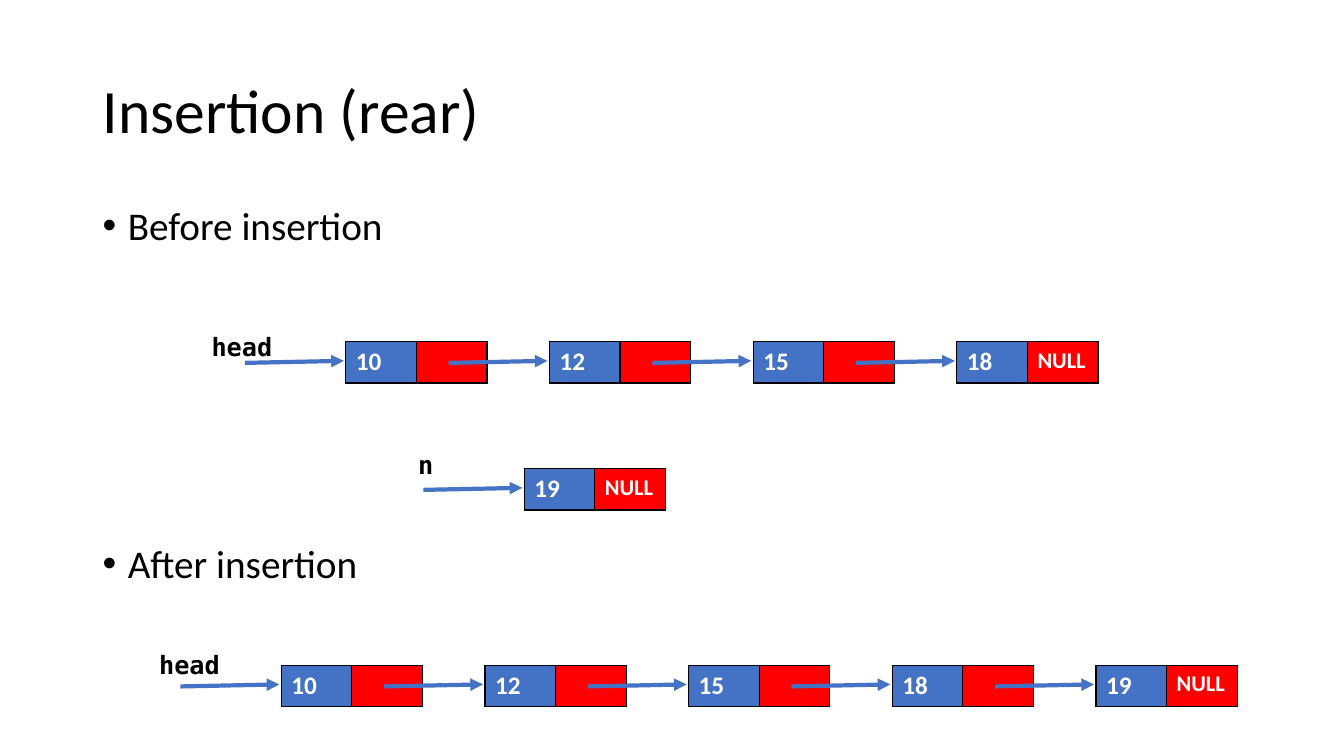
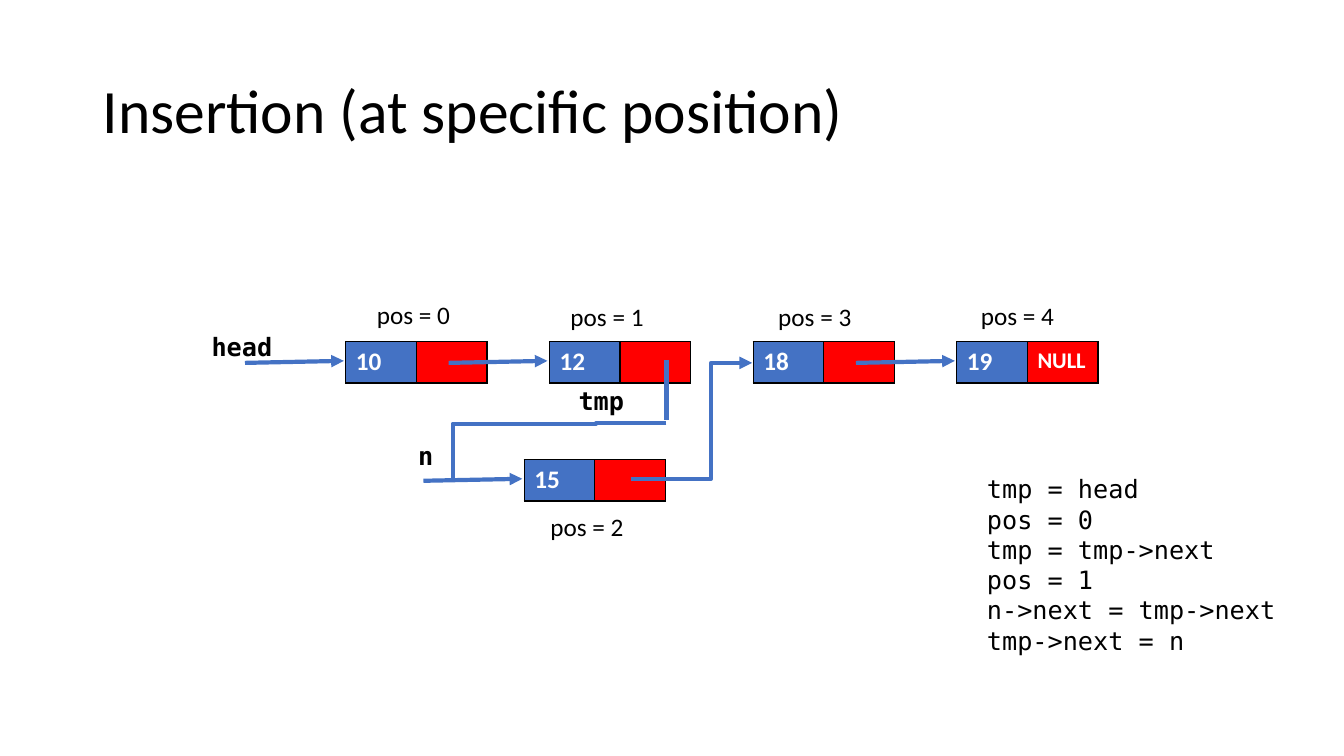
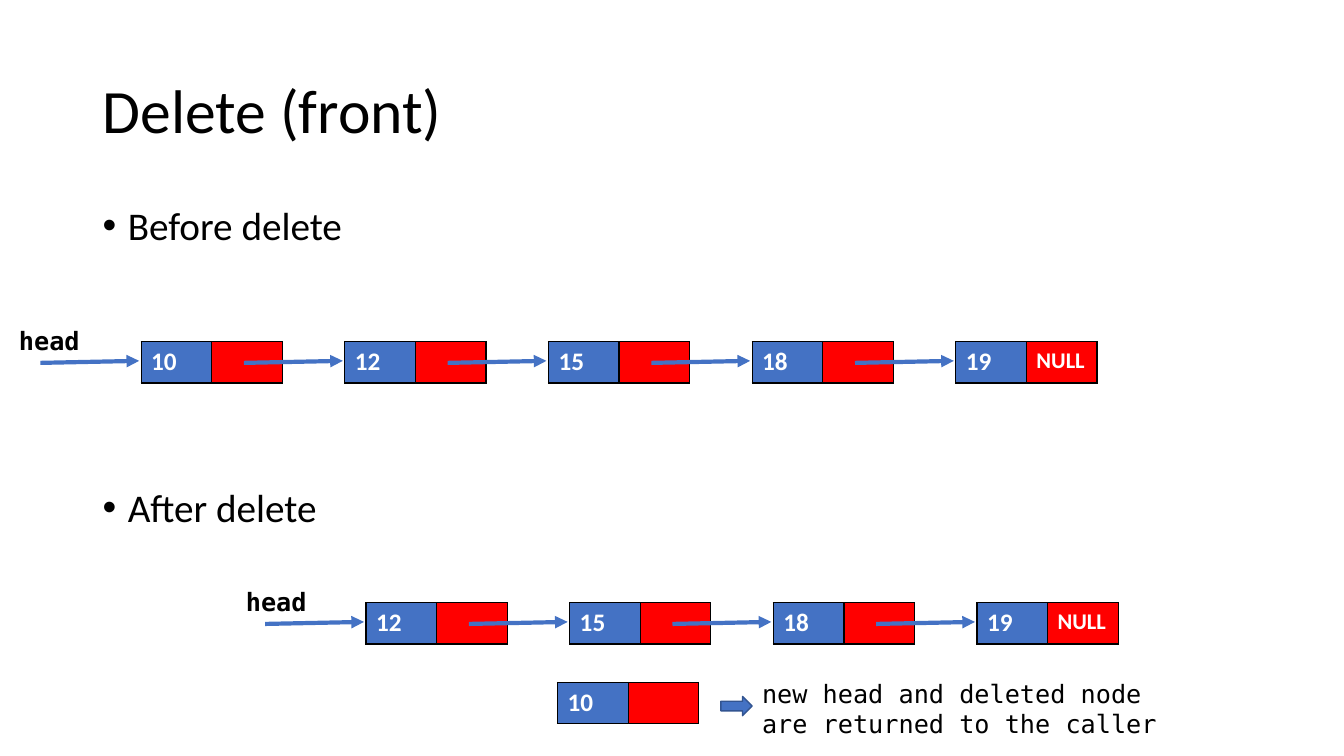
from lxml import etree
from pptx import Presentation
from pptx.dml.color import RGBColor
from pptx.enum.shapes import MSO_CONNECTOR as Link, MSO_SHAPE as Shape
from pptx.enum.text import MSO_ANCHOR as Anchor
from pptx.oxml import parse_xml
from pptx.oxml.ns import nsdecls, qn
from pptx.util import Inches, Pt

BLUE, RED, BLACK, WHITE, EDGE = "4472C4", "FF0000", "000000", "FFFFFF", "325491"
SANS, MONO = "Calibri", "DejaVu Sans Mono"
CELL_WIDTH, NODE_HEIGHT, PITCH = 0.7, 0.41, 2.02
BODY_LINE, BODY_GAP = 30.24, 10
TITLE = {"size": Pt(44), "name": SANS}
BODY = {"size": Pt(28), "name": SANS}
VALUE = {"size": Pt(18), "name": SANS, "bold": True}
NULL = {**VALUE, "size": Pt(16)}
CAPTION = {"size": Pt(18), "name": SANS}
CODE = {"size": Pt(18), "name": MONO}
POINTER = {**CODE, "bold": True}


def color(value):
    return RGBColor.from_string(value)


def write(para, text, style, ink=BLACK):
    span = para.add_run()
    span.text = text
    for name, value in style.items():
        setattr(span.font, name, value)
    span.font.color.rgb = color(ink)


def add_text(page, box, lines, style, **para_format):
    frame = page.shapes.add_textbox(*map(Inches, box)).text_frame
    frame.word_wrap = True
    for index, line in enumerate(lines):
        para = frame.paragraphs[0] if index == 0 else frame.add_paragraph()
        for name, value in para_format.items():
            setattr(para, name, value)
        write(para, line, style)
    return frame


def add_line(page, start, end, arrow=True, kind=Link.STRAIGHT):
    line = page.shapes.add_connector(kind, *map(Inches, (*start, *end)))
    line.line.color.rgb = color(BLUE)
    line.line.width = Pt(3)
    properties = line._element.spPr
    if arrow:
        etree.SubElement(properties.find(qn("a:ln")), qn("a:tailEnd"), type="triangle")
    etree.SubElement(properties, qn("a:effectLst"))
    return line


def add_elbow(page, start, end, preset, bends, arrow):
    elbow = add_line(page, start, end, arrow, Link.ELBOW)
    geometry = elbow._element.spPr.find(qn("a:prstGeom"))
    geometry.set("prst", preset)
    guides = geometry.find(qn("a:avLst"))
    for number, bend in enumerate(bends, 1):
        etree.SubElement(guides, qn("a:gd"), name=f"adj{number}", fmla=f"val {round(bend * 100000)}")


def add_node(page, left, top, value, last=False):
    box = map(Inches, (left, top, 2 * CELL_WIDTH, NODE_HEIGHT))
    table = page.shapes.add_table(1, 2, *box).table
    table.first_row = table.horz_banding = False
    parts = ((value, VALUE, BLUE), ("NULL" if last else "", NULL, RED))
    for cell, (text, style, fill) in zip(table.rows[0].cells, parts):
        properties = cell._tc.get_or_add_tcPr()
        for side in ("lnL", "lnR", "lnT", "lnB"):
            properties.append(parse_xml(
                f'<a:{side} {nsdecls("a")} w="12700"><a:solidFill>'
                f'<a:srgbClr val="{BLACK}"/></a:solidFill></a:{side}>'))
        cell.fill.solid()
        cell.fill.fore_color.rgb = color(fill)
        if text:
            write(cell.text_frame.paragraphs[0], text, style, WHITE)


def add_list(page, left, top, values, label, label_offset, ends=True, unlinked=()):
    """Chain of nodes; arrows lead into every node whose index is not unlinked."""
    places = [left + PITCH * index for index in range(len(values))]
    for place, value in zip(places, values):
        add_node(page, place, top, value, ends and value == values[-1])
    for index, place in enumerate(places):
        if index not in unlinked:
            add_line(page, (place - 1, top + 0.21), (place - 0.02, top + 0.19))
    shift, rise = label_offset
    add_text(page, (left + shift, top + rise, 1.1, 0.4), [label], POINTER)


def add_page(deck, title):
    page = deck.slides.add_slide(deck.slide_layouts[6])
    frame = add_text(page, (0.92, 0.4, 11.5, 1.45), [title], TITLE, line_spacing=0.9)
    frame.vertical_anchor = Anchor.MIDDLE
    return page


def add_headings(page, headings, lines_apart):
    frame = add_text(page, (0.92, 2, 11.5, 4.76), headings, BODY, line_spacing=0.9)
    for para in frame.paragraphs:
        properties = para._p.get_or_add_pPr()
        for name, value in (("marL", 0.25), ("indent", -0.25)):
            properties.set(name, str(Inches(value)))
        etree.SubElement(properties, qn("a:buFont"), typeface="Arial")
        etree.SubElement(properties, qn("a:buChar"), char="•")
    gap = lines_apart * (BODY_LINE + BODY_GAP) - BODY_LINE
    frame.paragraphs[1].space_before = Pt(round(gap))


def rear_insertion(deck):
    page = add_page(deck, "Insertion (rear)")
    add_headings(page, ["Before insertion", "After insertion"], 6)
    add_list(page, 3.43, 3.39, ["10", "12", "15", "18"], "head", (-1.43, -0.15))
    add_list(page, 5.2, 4.65, ["19"], "n", (-1.15, -0.24))
    add_list(page, 2.79, 6.6, ["10", "12", "15", "18", "19"], "head", (-1.31, -0.21))


def position_insertion(deck):
    page = add_page(deck, "Insertion (at specific position)")
    add_list(page, 3.43, 3.39, ["10", "12", "18", "19"], "head", (-1.43, -0.15), unlinked=(2,))
    add_list(page, 5.2, 4.56, ["15"], "n", (-1.15, -0.24), ends=False)
    # Position captions
    captions = ((3.64, 2.92, 0), (5.56, 2.94, 1), (5.36, 5.02, 2), (7.62, 2.94, 3), (9.63, 2.93, 4))
    for left, top, position in captions:
        add_text(page, (left, top, 0.95, 0.4), [f"pos = {position}"], CAPTION)
    add_text(page, (5.64, 3.77, 1.47, 0.4), ["tmp"], POINTER)
    # Rerouted links
    add_line(page, (6.61, 3.57), (6.61, 4.17), arrow=False)
    add_elbow(page, (6.61, 4.2), (4.49, 4.75), "bentConnector4", (0.33, 0.01), False)
    add_elbow(page, (6.26, 4.75), (7.46, 3.6), "bentConnector3", (0.66,), True)
    # Steps
    add_text(page, (9.69, 4.65, 3.51, 1.92), [
        "tmp = head", "pos = 0", "tmp = tmp->next", "pos = 1",
        "n->next = tmp->next", "tmp->next = n"], CODE)


def front_deletion(deck):
    page = add_page(deck, "Delete (front)")
    add_headings(page, ["Before delete", "After delete"], 5)
    add_list(page, 1.4, 3.39, ["10", "12", "15", "18", "19"], "head", (-1.31, -0.21))
    add_list(page, 3.63, 5.98, ["12", "15", "18", "19"], "head", (-1.29, -0.21))
    # Deleted node and its note
    add_node(page, 5.53, 6.77, "10")
    add_text(page, (7.46, 6.68, 4.36, 0.71),
             ["new head and deleted node are returned to the caller"], CODE)
    arrow = page.shapes.add_shape(Shape.RIGHT_ARROW, *map(Inches, (7.15, 6.91, 0.31, 0.19)))
    arrow.shadow.inherit = False
    arrow.fill.solid()
    arrow.fill.fore_color.rgb = color(BLUE)
    arrow.line.color.rgb = color(EDGE)
    arrow.line.width = Pt(1)


def main():
    deck = Presentation()
    deck.slide_width, deck.slide_height = Inches(13.33), Inches(7.5)
    for build in (rear_insertion, position_insertion, front_deletion):
        build(deck)
    deck.save("out.pptx")


if __name__ == "__main__":
    main()
